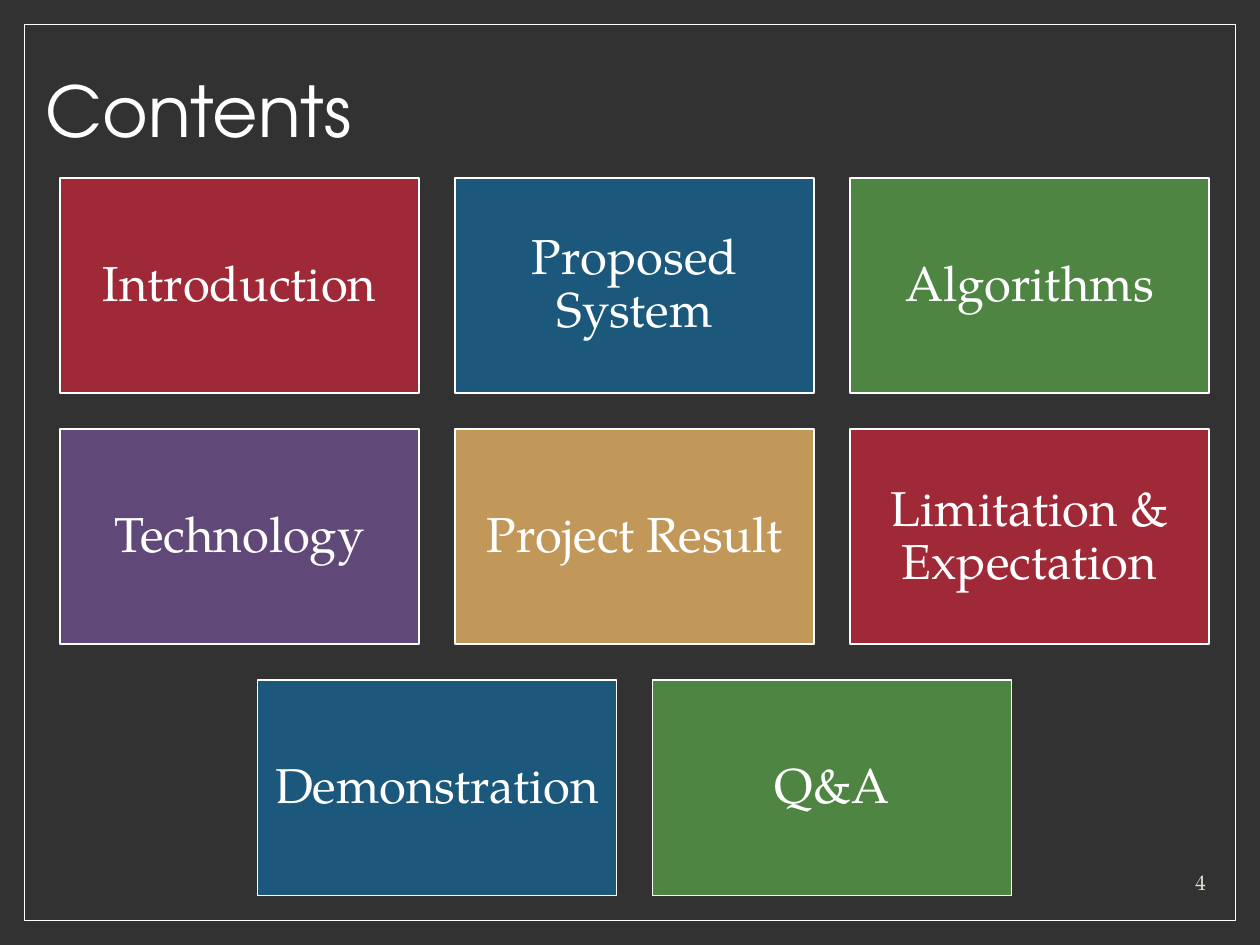
from dataclasses import dataclass
from typing import Optional

from pptx import Presentation
from pptx.dml.color import RGBColor
from pptx.enum.shapes import MSO_SHAPE
from pptx.enum.text import MSO_ANCHOR, MSO_AUTO_SIZE, PP_ALIGN
from pptx.util import Pt

RECTANGLE = MSO_SHAPE.RECTANGLE
MIDDLE, BOTTOM = MSO_ANCHOR.MIDDLE, MSO_ANCHOR.BOTTOM
LEFT, CENTER, RIGHT = PP_ALIGN.LEFT, PP_ALIGN.CENTER, PP_ALIGN.RIGHT
NO_AUTOFIT = MSO_AUTO_SIZE.NONE

CHARCOAL = RGBColor(0x32, 0x32, 0x32)
WHITE = RGBColor(0xFF, 0xFF, 0xFF)
CREAM = RGBColor(0xE3, 0xDE, 0xD1)
RED = RGBColor(0x9F, 0x29, 0x36)
BLUE = RGBColor(0x1B, 0x58, 0x7C)
GREEN = RGBColor(0x4E, 0x85, 0x42)
PURPLE = RGBColor(0x60, 0x48, 0x78)
GOLD = RGBColor(0xC1, 0x98, 0x59)

HEADING_FONT = "TeX Gyre Adventor"
BODY_FONT = "TeX Gyre Pagella"

TILE_WIDTH, TILE_HEIGHT, TILE_GAP = 205.2, 123.1, 20.5
GRID_CENTER, GRID_TOP = 362.6, 101.5
TILE_INSET = 8.4


@dataclass(frozen=True)
class Area:
    left: float
    top: float
    width: float
    height: float

    def in_points(self) -> tuple:
        return Pt(self.left), Pt(self.top), Pt(self.width), Pt(self.height)


@dataclass(frozen=True)
class Topic:
    label: str
    color: RGBColor


@dataclass(frozen=True)
class TextStyle:
    font: str
    size: float
    color: RGBColor
    align: PP_ALIGN
    anchor: MSO_ANCHOR
    line_spacing: float = 1.0


TITLE_STYLE = TextStyle(HEADING_FONT, 40, WHITE, LEFT, MIDDLE, 0.9)
TILE_STYLE = TextStyle(BODY_FONT, 28, WHITE, CENTER, MIDDLE, 0.9)
NUMBER_STYLE = TextStyle(BODY_FONT, 12, CREAM, RIGHT, BOTTOM)

TOPIC_ROWS = [
    [Topic("Introduction", RED), Topic("Proposed System", BLUE), Topic("Algorithms", GREEN)],
    [Topic("Technology", PURPLE), Topic("Project Result", GOLD), Topic("Limitation & Expectation", RED)],
    [Topic("Demonstration", BLUE), Topic("Q&A", GREEN)],
]


def set_attributes(target, values: dict) -> None:
    for name, value in values.items():
        setattr(target, name, value)


def write_text(box, text: str, style: TextStyle) -> None:
    frame = box.text_frame
    set_attributes(frame, {"word_wrap": True, "auto_size": NO_AUTOFIT, "vertical_anchor": style.anchor})
    para = frame.paragraphs[0]
    set_attributes(para, {"alignment": style.align, "line_spacing": style.line_spacing})
    span = para.add_run()
    span.text = text
    set_attributes(span.font, {"name": style.font, "size": Pt(style.size)})
    span.font.color.rgb = style.color


def add_rectangle(page, area: Area, line_width: float, fill: Optional[RGBColor] = None):
    box = page.shapes.add_shape(RECTANGLE, *area.in_points())
    box.shadow.inherit = False
    if fill is None:
        box.fill.background()
    else:
        box.fill.solid()
        box.fill.fore_color.rgb = fill
    box.line.color.rgb = WHITE
    box.line.width = Pt(line_width)
    return box


def add_tile(page, topic: Topic, area: Area) -> None:
    box = add_rectangle(page, area, 1, topic.color)
    sides = ("left", "top", "right", "bottom")
    set_attributes(box.text_frame, {f"margin_{side}": Pt(TILE_INSET) for side in sides})
    write_text(box, topic.label, TILE_STYLE)


def add_topic_row(page, topics: list[Topic], top: float) -> None:
    pitch = TILE_WIDTH + TILE_GAP
    row_left = GRID_CENTER - (len(topics) * pitch - TILE_GAP) / 2
    for column, topic in enumerate(topics):
        add_tile(page, topic, Area(row_left + column * pitch, top, TILE_WIDTH, TILE_HEIGHT))


def add_title(page, text: str, area: Area) -> None:
    title = page.shapes.title
    left, top, width, height = area.in_points()
    set_attributes(title, {"left": left, "top": top, "width": width, "height": height})
    write_text(title, text, TITLE_STYLE)


def main() -> None:
    deck = Presentation()
    set_attributes(deck, {"slide_width": Pt(720), "slide_height": Pt(540)})
    page = deck.slides.add_slide(deck.slide_layouts[5])
    page.background.fill.solid()
    page.background.fill.fore_color.rgb = CHARCOAL

    add_rectangle(page, Area(13.8, 13.8, 692.4, 512.4), 0.5)
    add_title(page, "Contents", Area(18.8, 37.4, 684.7, 56.2))
    number = page.shapes.add_textbox(*Area(609.8, 493.2, 86.4, 21.6).in_points())
    write_text(number, "4", NUMBER_STYLE)
    for row, topics in enumerate(TOPIC_ROWS):
        add_topic_row(page, topics, GRID_TOP + row * (TILE_HEIGHT + TILE_GAP))

    deck.save("out.pptx")


if __name__ == "__main__":
    main()
